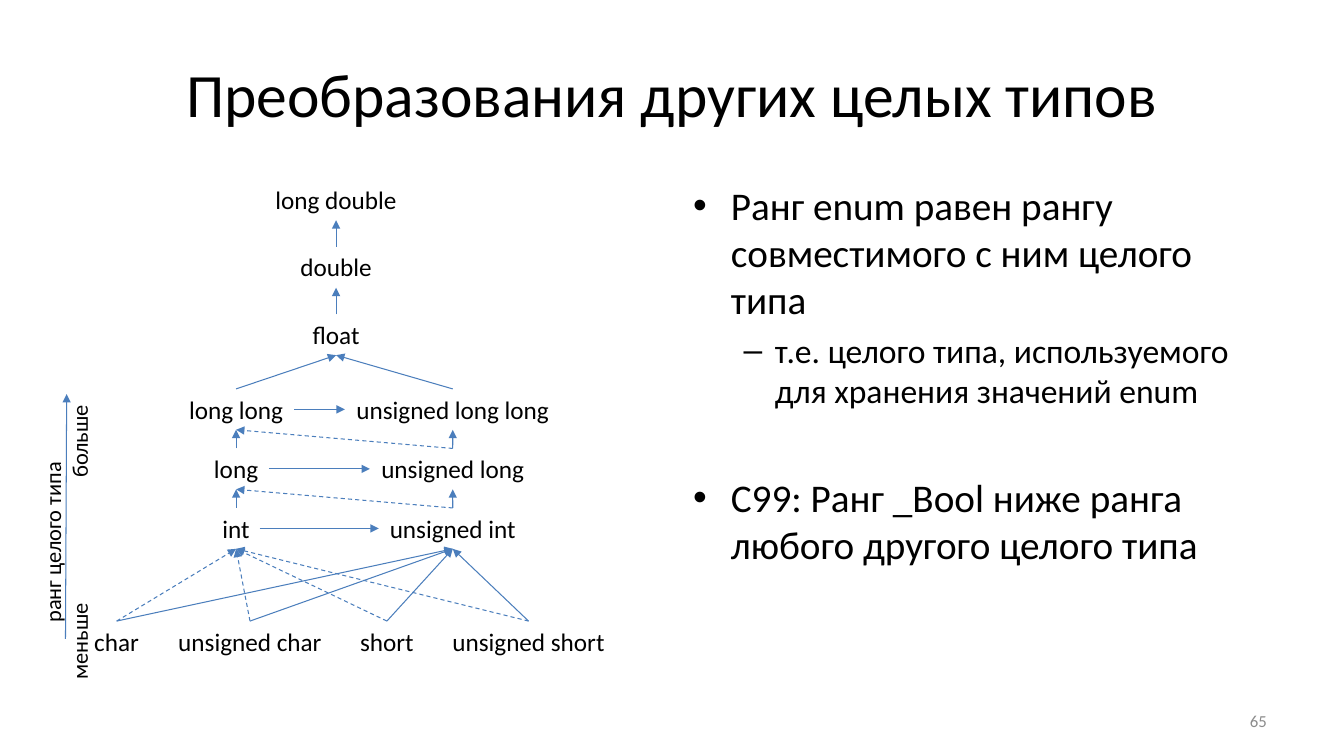
from lxml.etree import SubElement
from pptx import Presentation
from pptx.dml.color import RGBColor
from pptx.enum.dml import MSO_LINE
from pptx.enum.shapes import MSO_CONNECTOR
from pptx.enum.text import MSO_ANCHOR, PP_ALIGN
from pptx.oxml.ns import qn
from pptx.util import Cm, Pt

COLORS = {"text": "000000", "arrow": "4B7EBC", "number": "8C8C8C"}
FONT = "Calibri"
TOP, LEFT, BOTTOM, RIGHT = range(4)
NODE_HEIGHT = 1.03

# Column centres and row tops of the type diagram, in cm
FLOAT_X, SIGNED_X, UNSIGNED_X = 8.47, 5.95, 11.41
FLOAT_ROWS = [4.52 + 1.7 * i for i in range(3)]
INT_ROWS = [9.8 + 1.5 * i for i in range(3)]
SMALL_ROW = 15.65

FLOAT_TYPES = [("long double", 3.61), ("double", 2.34), ("float", 1.7)]
SIGNED_TYPES = [("long long", 2.92), ("long", 1.65), ("int", 1.19)]
UNSIGNED_TYPES = [("unsigned long long", 5.44), ("unsigned long", 4.17),
                  ("unsigned int", 3.73)]
SMALL_TYPES = [("char", 1.65, 2.94), ("unsigned char", 4.17, 6.3),
               ("short", 1.88, 9.75), ("unsigned short", 4.39, 13.32)]

# Text, bullet, level, size, left margin, hanging indent, space before
BULLETS = [
    ("Ранг enum равен рангу совместимого с ним целого типа",
     "•", 0, 28, 0.95, 0.95, 0),
    ("т.е. целого типа, используемого для хранения значений enum",
     "–", 1, 24, 2.06, 0.79, 5),
    ("С99: Ранг _Bool ниже ранга любого другого целого типа",
     "•", 0, 28, 0.95, 0.95, 45),
]


class SlideBuilder:
    def __init__(self, prs):
        self.slide = prs.slides.add_slide(prs.slide_layouts[5])

    def style(self, p, size, color="text", align=PP_ALIGN.LEFT):
        p.alignment = align
        for r in p.runs:
            r.font.name = FONT
            r.font.size = Pt(size)
            r.font.color.rgb = RGBColor.from_string(COLORS[color])

    def title(self, text, box):
        sp = self.slide.shapes.title
        sp.left, sp.top, sp.width, sp.height = map(Cm, box)
        tf = sp.text_frame
        tf.text = text
        tf.vertical_anchor = MSO_ANCHOR.MIDDLE
        self.style(tf.paragraphs[0], 44, align=PP_ALIGN.CENTER)

    def text(self, text, box, size, color="text", align=PP_ALIGN.CENTER,
             wrap=False):
        sp = self.slide.shapes.add_textbox(*map(Cm, box))
        tf = sp.text_frame
        tf.word_wrap = wrap
        tf.text = text
        for p in tf.paragraphs:
            self.style(p, size, color, align)
        return sp

    def node(self, text, width, center, top):
        box = (center - width / 2, top, width, NODE_HEIGHT)
        return self.text(text, box, 18)

    def bullets(self, items, box):
        tf = self.slide.shapes.add_textbox(*map(Cm, box)).text_frame
        tf.word_wrap = True
        for i, (text, mark, level, size, margin, hang, before) in enumerate(items):
            p = tf.add_paragraph() if i else tf.paragraphs[0]
            p.text = text
            p.level = level
            p.space_before = Pt(before)
            pPr = p._p.get_or_add_pPr()
            pPr.set("marL", str(Cm(margin)))
            pPr.set("indent", str(-Cm(hang)))
            SubElement(pPr, qn("a:buFont"), typeface="Arial")
            SubElement(pPr, qn("a:buChar"), char=mark)
            self.style(p, size)

    def arrow(self, start=(0, 0), end=(0, 0), dashed=False):
        cxn = self.slide.shapes.add_connector(
            MSO_CONNECTOR.STRAIGHT, *map(Cm, start + end))
        cxn.line.color.rgb = RGBColor.from_string(COLORS["arrow"])
        cxn.line.width = Pt(0.75)
        if dashed:
            cxn.line.dash_style = MSO_LINE.DASH
        SubElement(cxn.line._get_or_add_ln(), qn("a:tailEnd"), type="triangle")
        SubElement(cxn._element.spPr, qn("a:effectLst"))
        return cxn

    def join(self, source, target, sites=(TOP, BOTTOM), dashed=False):
        """Draw an arrow between the given side middles of two nodes."""
        cxn = self.arrow(dashed=dashed)
        cxn.begin_connect(source, sites[0])
        cxn.end_connect(target, sites[1])

    def rank_axis(self):
        sp = self.text("ранг целого типа\nменьше\tбольше",
                       (-2.08, 12.85, 7.49, 1.63), 16)
        sp.rotation = 270
        pPr = sp.text_frame.paragraphs[1]._p.get_or_add_pPr()
        tabs = SubElement(pPr, qn("a:tabLst"))
        SubElement(tabs, qn("a:tab"), pos=str(Cm(5.08)), algn="l")
        self.arrow((1.65, 16.1), (1.68, 9.93))


def draw_type_diagram(s):
    def column(types, center, rows):
        return [s.node(name, width, center, top)
                for (name, width), top in zip(types, rows)]

    floats = column(FLOAT_TYPES, FLOAT_X, FLOAT_ROWS)
    signed = column(SIGNED_TYPES, SIGNED_X, INT_ROWS)
    unsigned = column(UNSIGNED_TYPES, UNSIGNED_X, INT_ROWS)
    small = [s.node(*item, SMALL_ROW) for item in SMALL_TYPES]

    for nodes in (floats, signed, unsigned):
        for upper, lower in zip(nodes, nodes[1:]):
            s.join(lower, upper)
    for left, right in zip(signed, unsigned):
        s.join(left, right, (RIGHT, LEFT))
    for upper, lower in zip(signed, unsigned[1:]):
        s.join(lower, upper, dashed=True)
    for widest in (signed[0], unsigned[0]):
        s.join(widest, floats[-1])
    for node in small:
        s.join(node, signed[-1], dashed=True)
        s.join(node, unsigned[-1])


def main():
    prs = Presentation()
    prs.slide_width, prs.slide_height = Cm(33.87), Cm(19.05)
    s = SlideBuilder(prs)
    s.title("Преобразования других целых типов", (1.7, 0.76, 30.48, 3.18))
    s.bullets(BULLETS, (17.22, 4.45, 14.96, 12.57))
    draw_type_diagram(s)
    s.rank_axis()
    number = s.text("65", (24.28, 17.65, 7.9, 1.02), 12, "number",
                    PP_ALIGN.RIGHT, wrap=True)
    number.text_frame.vertical_anchor = MSO_ANCHOR.MIDDLE
    prs.save("out.pptx")


if __name__ == "__main__":
    main()
